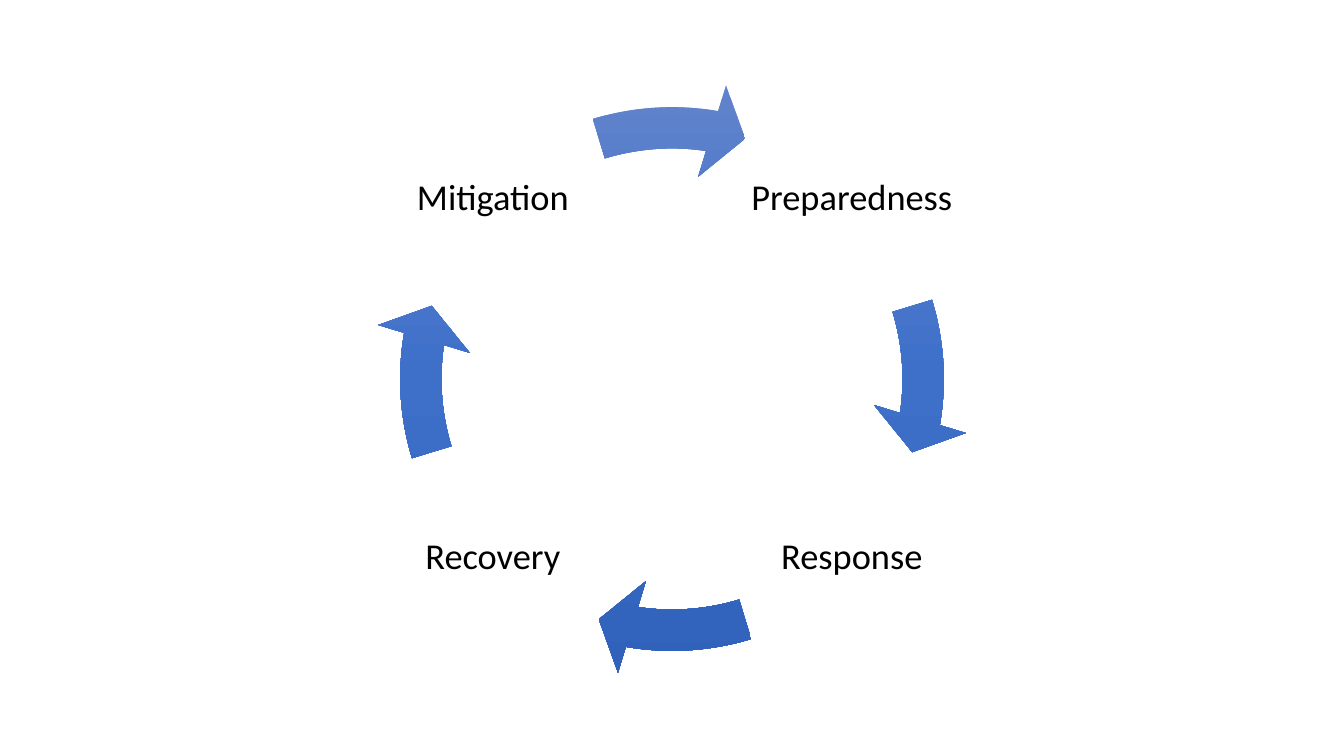
import lxml.etree
import pptx
import pptx.dml.color
import pptx.enum.shapes
import pptx.enum.text
import pptx.oxml.ns
import pptx.util


def rgb(hex_string):
    return pptx.dml.color.RGBColor.from_string(hex_string)


class CycleSlide:
    """Holds the style and the current slide."""
    EMU_PER_PX = 914400 / 100.8
    FONT, SIZE, TEXT = "Calibri", 26, "000000"
    STOPS = ((0, "6183CB"), (50, "3E70CA"), (100, "3062BB"))

    def __init__(self, prs):
        self.s = prs.slides.add_slide(prs.slide_layouts[6])

    @classmethod
    def px(cls, n):
        return pptx.util.Emu(round(n * cls.EMU_PER_PX))

    def label(self, text, left, top, size):
        box = map(self.px, (left, top, size, size))
        tf = self.s.shapes.add_textbox(*box).text_frame
        tf.word_wrap = True
        tf.vertical_anchor = pptx.enum.text.MSO_ANCHOR.MIDDLE
        tf.margin_left = tf.margin_right = self.px(4)
        tf.margin_top = tf.margin_bottom = self.px(4)
        p = tf.paragraphs[0]
        p.text = text
        p.alignment = pptx.enum.text.PP_ALIGN.CENTER
        p.line_spacing = 0.9
        p.font.name = self.FONT
        p.font.size = pptx.util.Pt(self.SIZE)
        p.font.color.rgb = rgb(self.TEXT)

    def arrow(self, left, top, size, adjustments):
        box = map(self.px, (left, top, size, size))
        sp = self.s.shapes.add_shape(
            pptx.enum.shapes.MSO_SHAPE.CIRCULAR_ARROW, *box)
        for i, value in enumerate(adjustments):
            sp.adjustments[i] = value
        sp.shadow.inherit = False
        sp.line.fill.background()
        self.gradient(sp)

    def gradient(self, sp):
        sp.fill.gradient()
        sp.fill.gradient_angle = 270  # counter-clockwise: top to bottom
        qn = pptx.oxml.ns.qn
        stops = sp.element.spPr.find(".//" + qn("a:gsLst"))
        for gs in list(stops):
            stops.remove(gs)
        for percent, colour in self.STOPS:
            gs = lxml.etree.SubElement(stops, qn("a:gs"), pos=str(percent * 1000))
            lxml.etree.SubElement(gs, qn("a:srgbClr"), val=colour)


def main():
    prs = pptx.Presentation()
    prs.slide_width, prs.slide_height = CycleSlide.px(1344), CycleSlide.px(756)
    slide = CycleSlide(prs)

    # Phases clockwise from the top right, each followed by its arrow
    left, right, top, bottom = 387, 746, 93, 452
    phases = (("Preparedness", right, top), ("Response", right, bottom),
              ("Recovery", left, bottom), ("Mitigation", left, top))

    # Arrow angles are in units of 1/0.6 degree: a full turn is 216
    turn = 216
    for i, (text, x, y) in enumerate(phases):
        slide.label(text, x, y, 212)
        shift = i * turn / len(phases)
        head, tail = (5.51 + shift) % turn, (205.84 + shift) % turn
        slide.arrow(373, 80, 598, (0.069, 4.65, head, tail, 0.08))

    prs.save("out.pptx")


if __name__ == "__main__":
    main()
